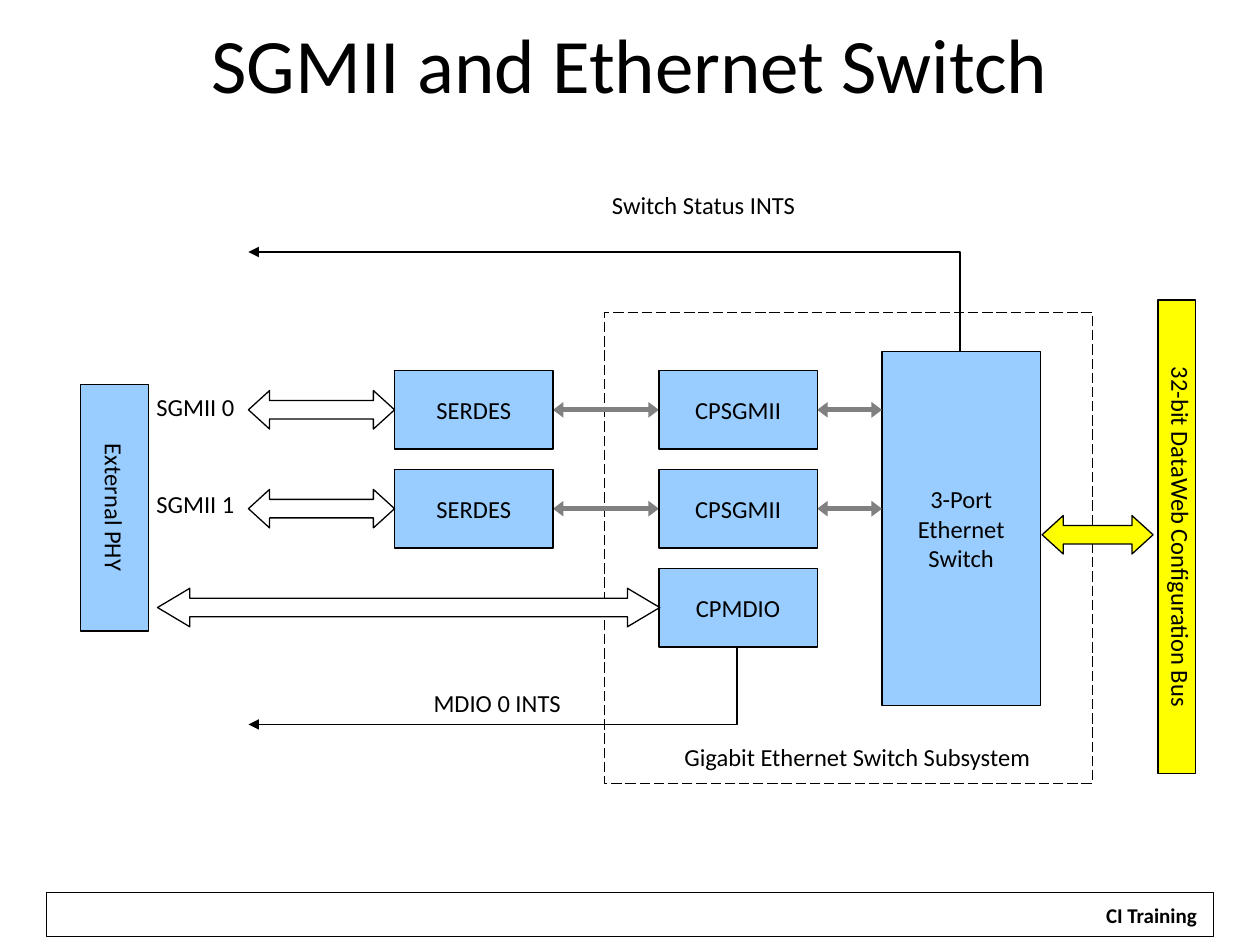
from lxml import etree
from pptx import Presentation
from pptx.dml.color import RGBColor
from pptx.enum.dml import MSO_LINE
from pptx.enum.shapes import MSO_CONNECTOR, MSO_SHAPE
from pptx.enum.text import MSO_ANCHOR, PP_ALIGN
from pptx.oxml.ns import qn
from pptx.util import Pt

RECTANGLE, DOUBLE_ARROW = MSO_SHAPE.RECTANGLE, MSO_SHAPE.LEFT_RIGHT_ARROW
STRAIGHT, LONG_DASH = MSO_CONNECTOR.STRAIGHT, MSO_LINE.LONG_DASH
TOP, MIDDLE = MSO_ANCHOR.TOP, MSO_ANCHOR.MIDDLE
CENTER, RIGHT = PP_ALIGN.CENTER, PP_ALIGN.RIGHT
BLACK, WHITE, GRAY, BLUE, YELLOW = "000000", "FFFFFF", "808080", "99CCFF", "FFFF00"
LINE_WIDTH = 0.75
ROW_CENTERS = (126.2, 182.7, 239.2)
BLOCK_WIDTH, BLOCK_HEIGHT, ARROW_HEIGHT = 90.5, 45, 22
SERDES_LEFT, PORT_LEFT, SWITCH_LEFT = 179.5, 330.5, 458


def color(value):
    """Turn a hex string into a colour."""
    return RGBColor.from_string(value)


def points(values):
    """Turn numbers into point lengths."""
    return [Pt(value) for value in values]


def inside(box, left, top, width, height):
    """Place a part relative to the corner of a box."""
    return box[0] + left, box[1] + top, width, height


def write(shape, text, size=14, bold=False, align=CENTER, anchor=MIDDLE, wrap=True, insets=(0, 0)):
    """Fill the text frame of a shape, one paragraph per line."""
    frame = shape.text_frame
    side, edge = points(insets)
    layout = {"word_wrap": wrap, "vertical_anchor": anchor, "margin_left": side,
              "margin_right": side, "margin_top": edge, "margin_bottom": edge}
    for name, value in layout.items():
        setattr(frame, name, value)
    frame.text = text
    for para in frame.paragraphs:
        para.alignment = align
        for span in para.runs:
            for name, value in {"name": "Calibri", "size": Pt(size), "bold": bold}.items():
                setattr(span.font, name, value)
            span.font.color.rgb = color(BLACK)


def add_text(page, place, text, **style):
    """Add a text box."""
    write(page.shapes.add_textbox(*points(place)), text, **style)


def paint(shape, fill=None, line=BLACK):
    """Set the fill and the outline of a shape."""
    shape.shadow.inherit = False
    if fill:
        shape.fill.solid()
        shape.fill.fore_color.rgb = color(fill)
    else:
        shape.fill.background()
    if line:
        shape.line.color.rgb = color(line)
        shape.line.width = Pt(LINE_WIDTH)
    else:
        shape.line.fill.background()


def add_block(page, place, fill=None, text=None, line=BLACK, **style):
    """Add a rectangle with optional text."""
    shape = page.shapes.add_shape(RECTANGLE, *points(place))
    paint(shape, fill, line)
    if text:
        write(shape, text, **style)
    return shape


def add_upright_block(page, place, fill, text, **style):
    """Add a tall rectangle whose text reads downwards."""
    left, top, width, height = place
    shift = (height - width) / 2
    block = add_block(page, (left - shift, top + shift, height, width), fill, text, **style)
    block.rotation = 90


def add_double_arrow(page, place, fill=WHITE, head=0.55):
    """Add a block arrow that points both ways."""
    shape = page.shapes.add_shape(DOUBLE_ARROW, *points(place))
    shape.adjustments[0], shape.adjustments[1] = 0.48, head
    paint(shape, fill)


def add_arrowheads(shape, *ends, length="med"):
    """Put triangles on the given line ends."""
    for end in ends:
        etree.SubElement(shape.line._get_or_add_ln(), qn(f"a:{end}"), type="triangle", len=length)


def add_link(page, box, left, right, center):
    """Add a grey line with a head at each end."""
    height = box[1] + center
    ends = points((box[0] + left, height, box[0] + right, height))
    link = page.shapes.add_connector(STRAIGHT, *ends)
    link.line.color.rgb = color(GRAY)
    link.line.width = Pt(3)
    add_arrowheads(link, "headEnd", "tailEnd", length="sm")
    etree.SubElement(link._element.spPr, qn("a:effectLst"))


def add_interrupt(page, box, start_x, start_y, end_x, end_y):
    """Add a bent line that leaves vertically and ends in an arrowhead."""
    corners = [(start_x, start_y), (start_x, end_y), (end_x, end_y)]
    start, *rest = [points((box[0] + x, box[1] + y)) for x, y in corners]
    builder = page.shapes.build_freeform(*start)
    builder.add_line_segments(rest, close=False)
    bend = builder.convert_to_shape()
    paint(bend)
    add_arrowheads(bend, "tailEnd")


def add_subsystem(page, box):
    """Draw the dashed frame, the blocks and the links between them."""
    frame = add_block(page, inside(box, 299.6, 70.6, 278.6, 269.3))
    frame.line.dash_style = LONG_DASH
    add_block(page, inside(box, SWITCH_LEFT, 93, BLOCK_WIDTH, 202), BLUE, "3-Port\nEthernet\nSwitch")
    for center, name in zip(ROW_CENTERS, ("CPSGMII", "CPSGMII", "CPMDIO")):
        columns = {PORT_LEFT: name}
        if name == "CPSGMII":
            columns[SERDES_LEFT] = "SERDES"
            add_link(page, box, SERDES_LEFT + BLOCK_WIDTH, PORT_LEFT, center)
            add_link(page, box, PORT_LEFT + BLOCK_WIDTH, SWITCH_LEFT, center)
        for left, text in columns.items():
            place = inside(box, left, center - BLOCK_HEIGHT / 2, BLOCK_WIDTH, BLOCK_HEIGHT)
            add_block(page, place, BLUE, text)


def add_outside(page, box):
    """Draw the external parts and the block arrows that reach them."""
    add_upright_block(page, inside(box, 0, 111.6, 39, 141), BLUE, "External PHY")
    add_upright_block(page, inside(box, 615.7, 63.4, 21.6, 270.7), YELLOW,
                      "32-bit DataWeb Configuration Bus", anchor=TOP)
    arrows = [
        (96, ROW_CENTERS[0], 83.5, {}),
        (96, ROW_CENTERS[1], 83.5, {}),
        (44, ROW_CENTERS[2], 287, {"head": 0.84}),
        (549.5, 197.6, 63.4, {"fill": YELLOW}),
    ]
    for left, center, width, style in arrows:
        place = inside(box, left, center - ARROW_HEIGHT / 2, width, ARROW_HEIGHT)
        add_double_arrow(page, place, **style)


def add_signals(page, box):
    """Draw the interrupt lines and all labels."""
    add_interrupt(page, box, 502.6, 93, 96, 36)
    add_interrupt(page, box, 375.2, 262, 96, 306)
    labels = [
        ("Switch Status INTS", 261.4, 0.7, 189.4, CENTER),
        ("MDIO 0 INTS", 161.4, 285, 153.4, CENTER),
        ("Gigabit Ethernet Switch Subsystem", 330.5, 316, 226.8, CENTER),
        ("SGMII 0", 36, 116, 52, RIGHT),
        ("SGMII 1", 36, 171.4, 52, RIGHT),
    ]
    for text, left, top, width, align in labels:
        add_text(page, inside(box, left, top, width, 17), text, align=align, anchor=TOP)


def add_footer(page, box):
    """Draw the framed footer with its bold label."""
    add_block(page, box)
    add_block(page, inside(box, 597.6, 2.2, 67.7, 21.6), WHITE, "CI Training", line=None,
              size=12, bold=True, anchor=TOP, wrap=False, insets=(7.2, 3.6))


def main():
    """Build the deck."""
    deck = Presentation()
    deck.slide_width, deck.slide_height = points((720, 540))
    page = deck.slides.add_slide(deck.slide_layouts[6])
    add_footer(page, (26.6, 509.8, 666.7, 25.2))
    add_text(page, (36, 5.8, 648, 59.8), "SGMII and Ethernet Switch", size=44, insets=(7.2, 3.6))
    diagram = (46, 108, 638, 340)
    for draw in (add_subsystem, add_outside, add_signals):
        draw(page, diagram)
    deck.save("out.pptx")


if __name__ == "__main__":
    main()
